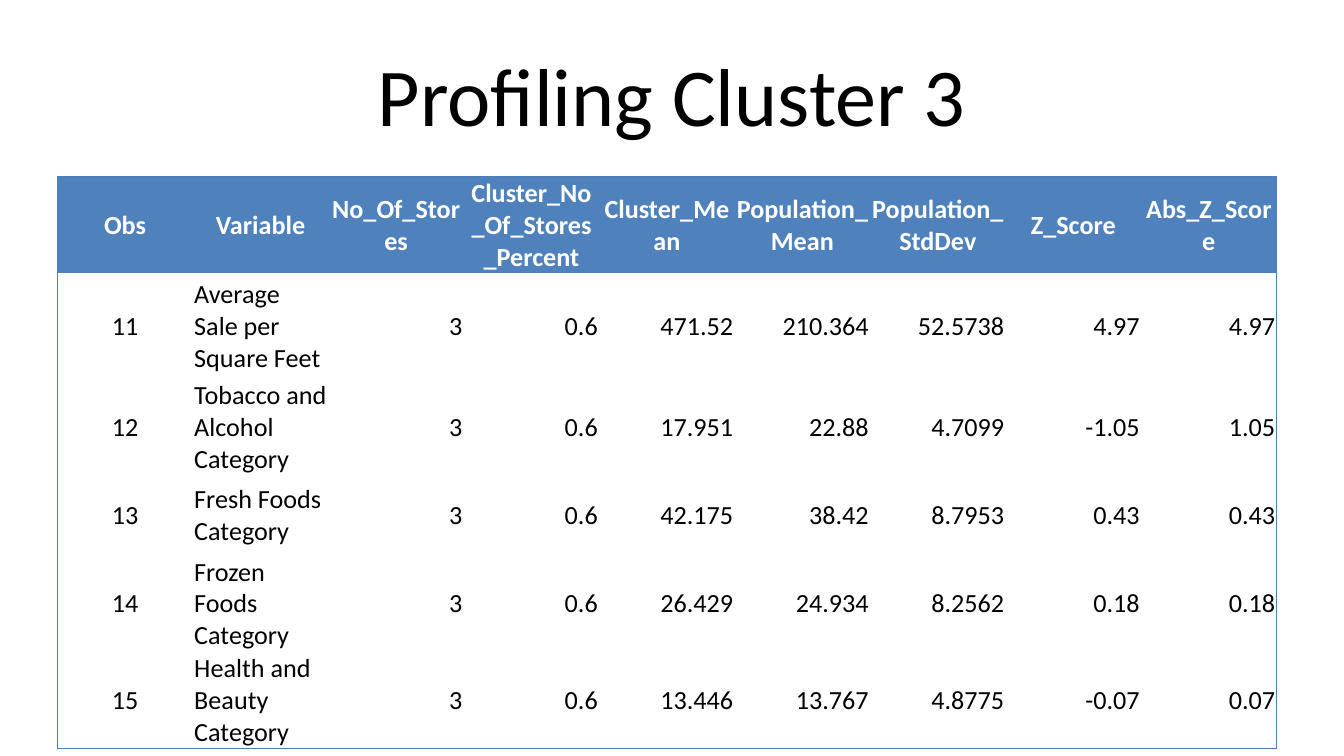
from dataclasses import astuple, dataclass

from lxml.etree import SubElement
from pptx import Presentation
from pptx.dml.color import RGBColor as RGB
from pptx.enum.text import MSO_ANCHOR as Anchor, PP_ALIGN as Align
from pptx.oxml.ns import qn
from pptx.util import Emu, Pt

EMU_PER_PX = 9525
NO_GRID_STYLE = "{2D5ABB26-0587-4C30-8999-92F81FD0307C}"


@dataclass(frozen=True)
class Theme:
    font: str = "Calibri"
    title_size: int = 44
    table_size: int = 14
    ink: str = "000000"
    header_ink: str = "FFFFFF"
    header_fill: str = "4F81BD"
    border: str = "4B7EBC"
    border_width: float = 0.75


@dataclass(frozen=True)
class ProfileRow:
    obs: str
    variable: str
    stores: str
    percent: str
    cluster_mean: str
    population_mean: str
    std_dev: str
    z_score: str
    abs_z_score: str


THEME = Theme()
TABLE_LEFT, TABLE_TOP, TABLE_WIDTH = 41, 126, 871
ROW_HEIGHTS = (57, 75, 57, 57, 57, 57)
BODY_ALIGNS = (Align.CENTER, Align.LEFT) + (Align.RIGHT,) * 7
ROWS = (
    ProfileRow("Obs", "Variable", "No_Of_Stores", "Cluster_No_Of_Stores_Percent",
               "Cluster_Mean", "Population_Mean", "Population_StdDev", "Z_Score",
               "Abs_Z_Score"),
    ProfileRow("11", "Average Sale per Square Feet", "3", "0.6", "471.52",
               "210.364", "52.5738", "4.97", "4.97"),
    ProfileRow("12", "Tobacco and Alcohol Category", "3", "0.6", "17.951",
               "22.88", "4.7099", "-1.05", "1.05"),
    ProfileRow("13", "Fresh Foods Category", "3", "0.6", "42.175",
               "38.42", "8.7953", "0.43", "0.43"),
    ProfileRow("14", "Frozen Foods Category", "3", "0.6", "26.429",
               "24.934", "8.2562", "0.18", "0.18"),
    ProfileRow("15", "Health and Beauty Category", "3", "0.6", "13.446",
               "13.767", "4.8775", "-0.07", "0.07"),
)


def px(n: int) -> Emu:
    return Emu(n * EMU_PER_PX)


def write(tf, text: str, *, size: int, color: str, align: Align,
          bold: bool = False) -> None:
    """Fill a text frame with one formatted paragraph."""
    tf.word_wrap = True
    p = tf.paragraphs[0]
    p.alignment = align
    r = p.add_run()
    r.text = text
    f = r.font
    f.name, f.size, f.bold = THEME.font, Pt(size), bold
    f.color.rgb = RGB.from_string(color)


def add_border(cell, side: str) -> None:
    """Draw one edge (L, R, T or B); must precede the cell's fill."""
    ln = SubElement(cell._tc.get_or_add_tcPr(), qn(f"a:ln{side}"),
                    w=str(Pt(THEME.border_width)))
    SubElement(SubElement(ln, qn("a:solidFill")), qn("a:srgbClr"), val=THEME.border)


def draw_title(s, text: str) -> None:
    sp = s.shapes.title
    sp.left, sp.top, sp.width, sp.height = px(48), px(22), px(864), px(90)
    sp.text_frame.vertical_anchor = Anchor.MIDDLE
    write(sp.text_frame, text, size=THEME.title_size, color=THEME.ink,
          align=Align.CENTER)


def draw_table(s, rows: tuple[ProfileRow, ...]) -> None:
    n_rows, n_cols = len(rows), len(BODY_ALIGNS)
    table = s.shapes.add_table(n_rows, n_cols, px(TABLE_LEFT), px(TABLE_TOP),
                               px(TABLE_WIDTH), px(sum(ROW_HEIGHTS))).table
    table._tbl.tblPr.find(qn("a:tableStyleId")).text = NO_GRID_STYLE
    table.horz_banding = False
    for col in table.columns:
        col.width = Emu(px(TABLE_WIDTH) // n_cols)
    for i, (row, height) in enumerate(zip(rows, ROW_HEIGHTS)):
        table.rows[i].height = px(height)
        header = i == 0
        for j, text in enumerate(astuple(row)):
            cell = table.cell(i, j)
            cell.margin_left = cell.margin_right = cell.margin_top = px(1)
            cell.margin_bottom = 0
            cell.vertical_anchor = Anchor.MIDDLE
            edges = {"L": j == 0, "R": j == n_cols - 1,
                     "T": header, "B": i == n_rows - 1}
            for side, is_outer in edges.items():
                if is_outer:
                    add_border(cell, side)
            if header:
                cell.fill.solid()
                cell.fill.fore_color.rgb = RGB.from_string(THEME.header_fill)
            else:
                cell.fill.background()
            write(cell.text_frame, text, size=THEME.table_size, bold=header,
                  color=THEME.header_ink if header else THEME.ink,
                  align=Align.CENTER if header else BODY_ALIGNS[j])


def main() -> None:
    prs = Presentation()
    prs.slide_width, prs.slide_height = px(960), px(540)
    s = prs.slides.add_slide(prs.slide_layouts[5])
    draw_title(s, "Profiling Cluster 3")
    draw_table(s, ROWS)
    prs.save("out.pptx")


if __name__ == "__main__":
    main()
